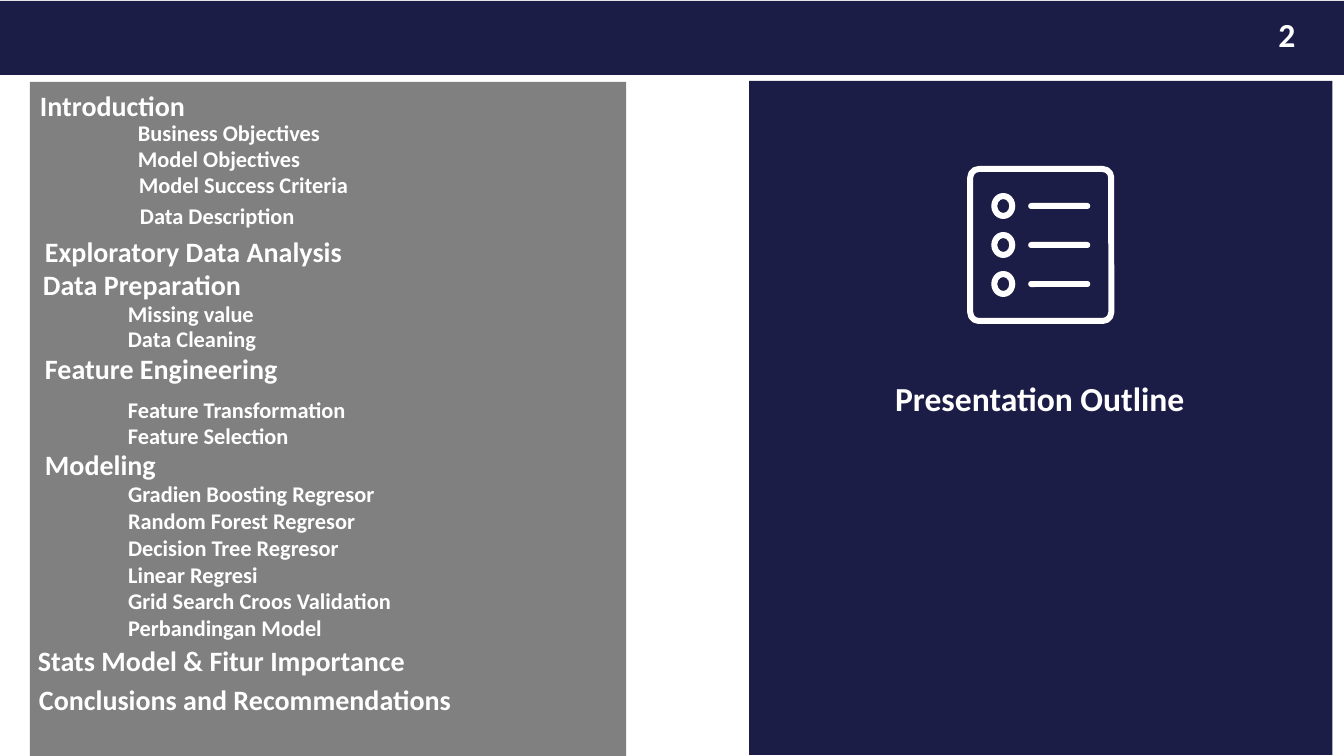
import pptx
import pptx.dml.color
import pptx.enum.shapes
import pptx.enum.text
import pptx.oxml
import pptx.util

SCALE = 914400 / 100.8
NAVY = pptx.dml.color.RGBColor(0x1C, 0x1D, 0x46)
GRAY = pptx.dml.color.RGBColor(0x80, 0x80, 0x80)
WHITE = pptx.dml.color.RGBColor(0xFF, 0xFF, 0xFF)
SHAPES = pptx.enum.shapes.MSO_SHAPE
ALIGN = pptx.enum.text.PP_ALIGN
ANCHOR = pptx.enum.text.MSO_ANCHOR

presentation = pptx.Presentation()
presentation.slide_width = pptx.util.Inches(13.33)
presentation.slide_height = pptx.util.Inches(7.5)
slide = presentation.slides.add_slide(presentation.slide_layouts[1])
title, model_list = slide.placeholders


def add_block(kind, *box, fill=None):
    shape = slide.shapes.add_shape(kind, *[round(value * SCALE) for value in box])
    shape.shadow.inherit = False
    shape.line.fill.background()
    if fill is None:
        shape.fill.background()
    else:
        shape.fill.solid()
        shape.fill.fore_color.rgb = fill
    return shape


def write(text, box, shape=None, size=16, align=ALIGN.LEFT, anchor=ANCHOR.TOP, margin=None):
    shape = shape or slide.shapes.add_textbox(0, 0, 0, 0)
    shape.left, shape.top, shape.width, shape.height = [round(value * SCALE) for value in box]
    frame = shape.text_frame
    frame.text = text
    frame.word_wrap = True
    frame.auto_size = pptx.enum.text.MSO_AUTO_SIZE.NONE
    frame.vertical_anchor = anchor
    if margin is not None:
        frame.margin_left = frame.margin_right = frame.margin_top = frame.margin_bottom = margin
    for paragraph in frame.paragraphs:
        paragraph.alignment = align
        paragraph.space_before = pptx.util.Pt(0)
        font = paragraph.runs[0].font
        font.name = "Calibri"
        font.size = pptx.util.Pt(size)
        font.bold = True
        font.color.rgb = WHITE
    return shape


add_block(SHAPES.RECTANGLE, 0, 1, 1344, 74, fill=NAVY)
number_box = (1237, 9, 99, 51)
page_number = add_block(SHAPES.RECTANGLE, *number_box, fill=NAVY)
page_number.line.color.rgb = NAVY
page_number.line.width = pptx.util.Pt(0.75)
write("2", number_box, page_number, size=24, align=ALIGN.CENTER, anchor=ANCHOR.MIDDLE)

add_block(SHAPES.RECTANGLE, 749, 81, 583, 674, fill=NAVY)
icon_frame = add_block(SHAPES.ROUNDED_RECTANGLE, 970, 169, 141, 152)
icon_frame.adjustments[0] = 0.06
icon_frame.line.color.rgb = WHITE
icon_frame.line.width = round(6 * SCALE)
for row in range(3):
    center = 206 + 39 * row
    ring = add_block(SHAPES.DONUT, 991, center - 13, 24, 26, fill=WHITE)
    ring.adjustments[0] = 0.25
    bar = add_block(SHAPES.ROUNDED_RECTANGLE, 1028, center - 3, 62, 6, fill=WHITE)
    bar.adjustments[0] = 0.5

slide.shapes.element.append(title.element)
write("Presentation Outline", (804, 378, 471, 40), title, size=24,
      align=ALIGN.CENTER, anchor=ANCHOR.MIDDLE, margin=0)

add_block(SHAPES.RECTANGLE, 30, 82, 596, 674, fill=GRAY)
headings = [
    ("Introduction", 30, 84),
    ("Exploratory Data Analysis", 35, 230),
    ("Data Preparation", 33, 263),
    ("Feature Engineering", 35, 347),
    ("Modeling", 35, 443),
    ("Stats Model & Fitur Importance", 28, 639),
    ("Conclusions and Recommendations", 29, 678),
]
topics = [
    ("Business Objectives", 128, 114),
    ("Model Objectives", 128, 140),
    ("Model Success Criteria", 129, 166),
    ("Data Description", 130, 197),
    ("Missing value", 118, 295),
    ("Data Cleaning", 118, 320),
    ("Feature Transformation", 118, 391),
    ("Feature Selection", 118, 417),
]
for text, left, top in headings:
    write(text, (left, top, 595, 44), size=20)
for text, left, top in topics:
    write(text, (left, top, 495, 37))

models = [
    "Gradien Boosting Regresor",
    "Random Forest Regresor",
    "Decision Tree Regresor",
    "Linear Regresi",
    "Grid Search Croos Validation",
    "Perbandingan Model",
]
slide.shapes.element.append(model_list.element)
write("\n".join(models), (118, 475, 493, 173), model_list)
for paragraph in model_list.text_frame.paragraphs:
    properties = paragraph.runs[0].font and paragraph._p.get_or_add_pPr()
    properties.set("marL", "0")
    properties.set("indent", "0")
    properties.append(pptx.oxml.parse_xml(
        '<a:buNone xmlns:a="http://schemas.openxmlformats.org/drawingml/2006/main"/>'))

presentation.save("out.pptx")
